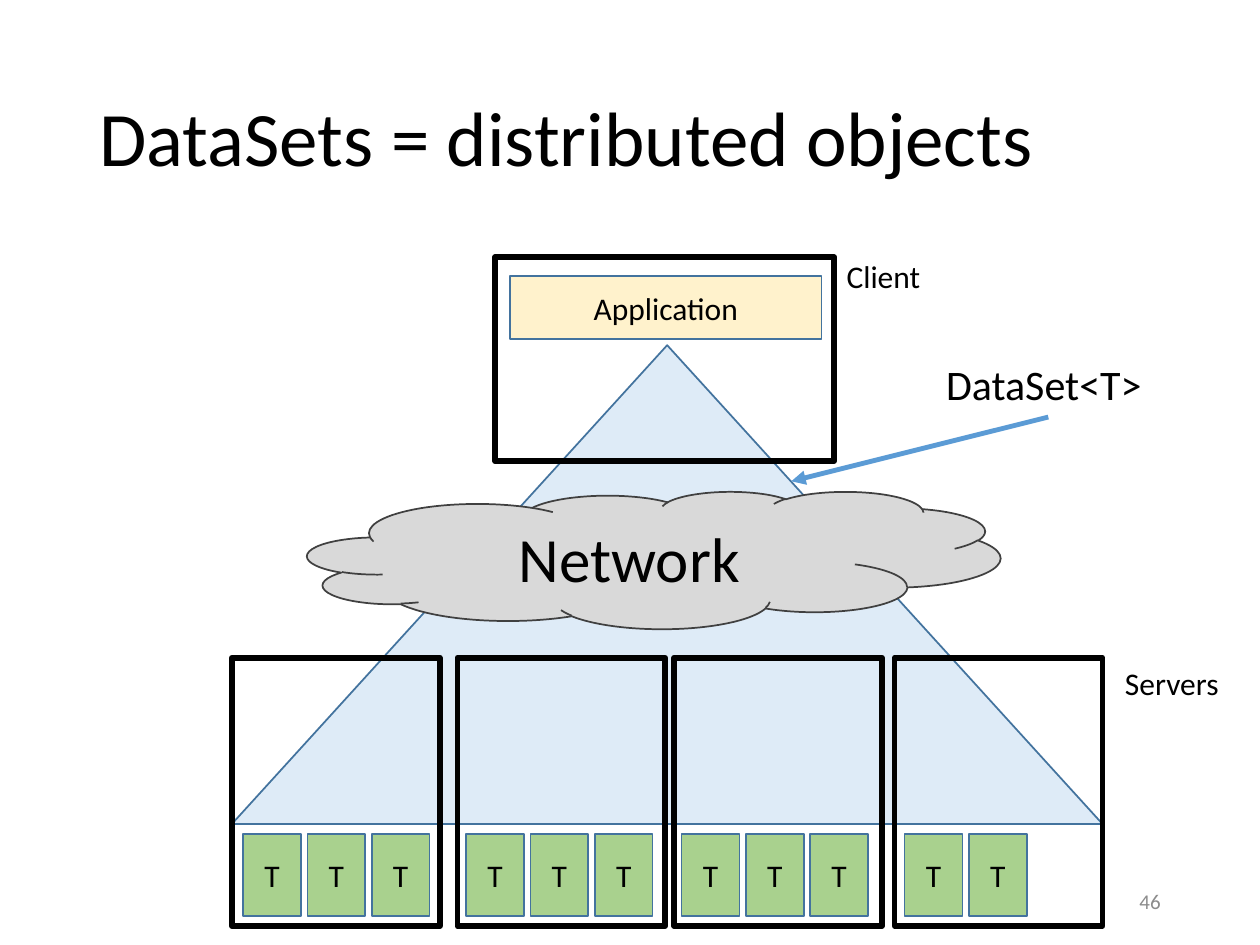
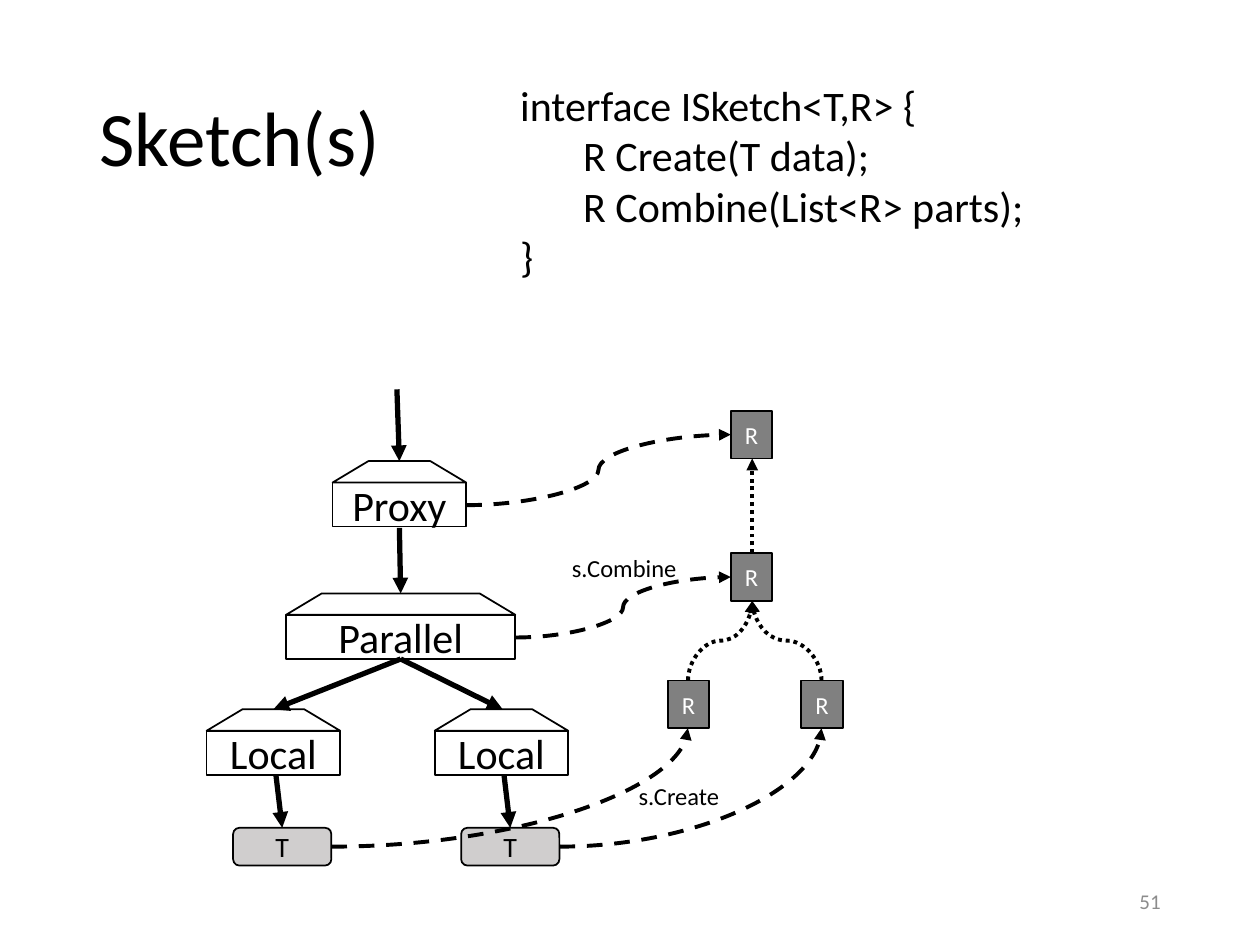
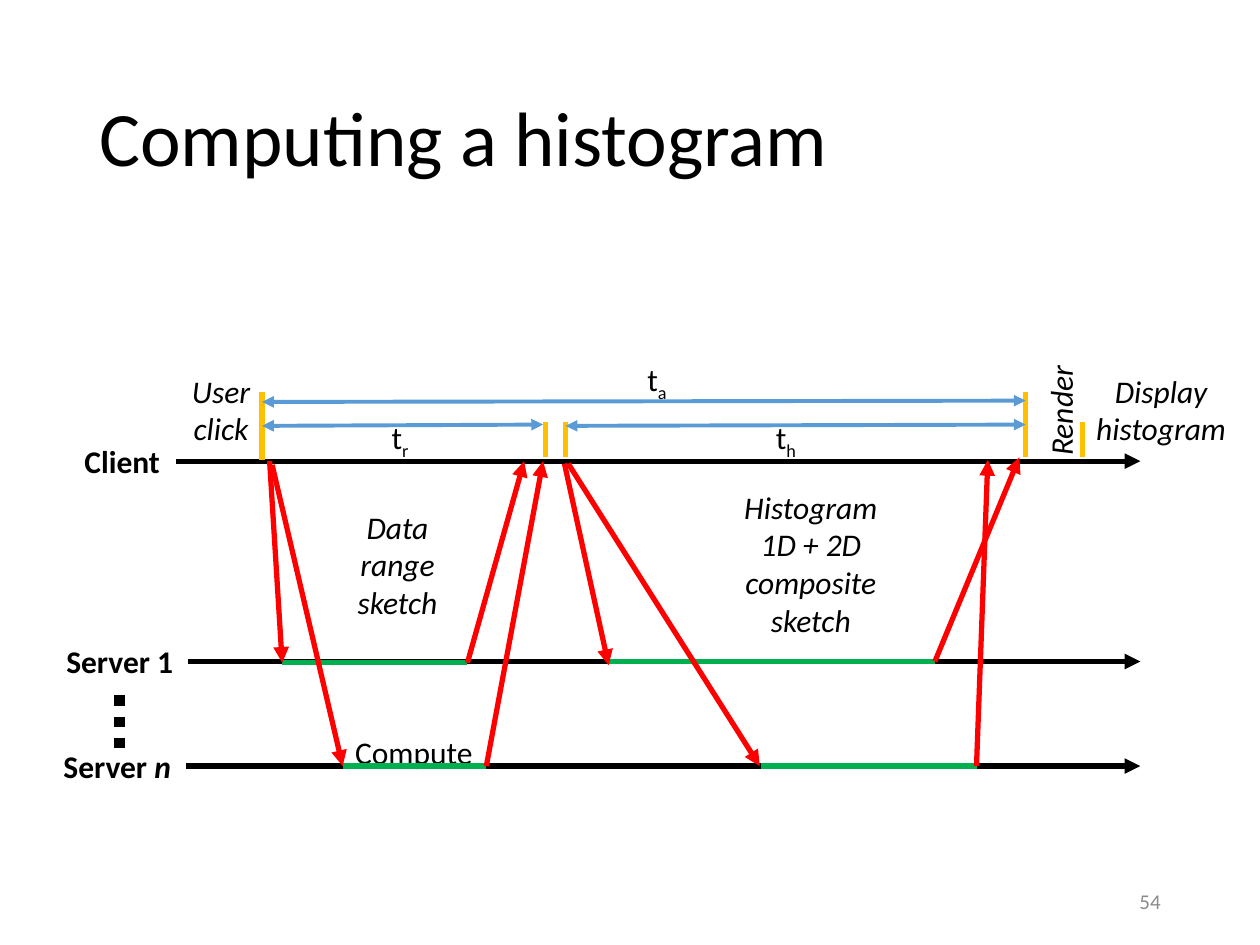
import lxml.etree
import pptx
import pptx.util
import pptx.dml.color
import pptx.enum.dml
import pptx.enum.shapes
import pptx.enum.text
import pptx.oxml.ns

Inches = pptx.util.Inches
Pt = pptx.util.Pt
SHAPE = pptx.enum.shapes.MSO_SHAPE
LINK = pptx.enum.shapes.MSO_CONNECTOR
DASH = pptx.enum.dml.MSO_LINE.DASH
DOT = pptx.enum.dml.MSO_LINE.ROUND_DOT
ALIGN = pptx.enum.text.PP_ALIGN
MIDDLE = pptx.enum.text.MSO_ANCHOR.MIDDLE
FONT = "Calibri"
COLORS = {
    "black": "000000", "white": "FFFFFF", "number": "8C8C8C",
    "edge": "43739E", "arrow": "5B9BD5", "pale": "DEEBF7",
    "cloud": "D9D9D9", "rim": "404040", "cream": "FFF2CC",
    "task": "A9D18E", "result": "808080", "leaf": "D0CECE",
    "tick": "FFC000", "work": "00B050", "message": "FF0000",
}


def color(name):
    return pptx.dml.color.RGBColor.from_string(COLORS[name])


def write(frame, text, size, hue="black", align=ALIGN.LEFT, bold=None, italic=None):
    frame.text = text
    for para in frame.paragraphs:
        para.alignment = align
        font = para.font
        font.name, font.size, font.bold, font.italic = FONT, Pt(size), bold, italic
        font.color.rgb = color(hue)


class Pen:
    def __init__(self, slide, left=0, top=0):
        self.slide, self.left, self.top = slide, left, top

    def move(self, left, top):
        return Pen(self.slide, self.left + left, self.top + top)

    def place(self, left, top):
        return Inches(self.left + left), Inches(self.top + top)

    def text(self, box, text, size=18, wrap=True, anchor=None, **style):
        left, top, width, height = box
        label = self.slide.shapes.add_textbox(
            *self.place(left, top), Inches(width), Inches(height))
        frame = label.text_frame
        frame.word_wrap = wrap
        frame.vertical_anchor = anchor
        write(frame, text, size, **style)
        return label

    def shape(self, kind, box, fill=None, edge="black", weight=1,
              text=None, size=18, hue="black", wrap=True):
        left, top, width, height = box
        shape = self.slide.shapes.add_shape(
            kind, *self.place(left, top), Inches(width), Inches(height))
        shape.shadow.inherit = False
        if fill:
            shape.fill.solid()
            shape.fill.fore_color.rgb = color(fill)
        else:
            shape.fill.background()
        shape.line.color.rgb = color(edge)
        shape.line.width = Pt(weight)
        if text:
            frame = shape.text_frame
            frame.word_wrap = wrap
            frame.vertical_anchor = MIDDLE
            write(frame, text, size, hue, ALIGN.CENTER)
        return shape

    def line(self, start, end, hue="black", weight=3, dash=None,
             ends=("tailEnd",), kind=LINK.STRAIGHT):
        link = self.slide.shapes.add_connector(
            kind, *self.place(*start), *self.place(*end))
        link.line.color.rgb = color(hue)
        link.line.width = Pt(weight)
        if dash:
            link.line.dash_style = dash
        props = link._element.spPr
        stroke = props.find(pptx.oxml.ns.qn("a:ln"))
        for side in ends:
            lxml.etree.SubElement(
                stroke, pptx.oxml.ns.qn("a:" + side), type="triangle")
        lxml.etree.SubElement(props, pptx.oxml.ns.qn("a:effectLst"))
        return link

    def curve(self, start, end):
        return self.line(start, end, weight=2.25, dash=DASH, kind=LINK.CURVE)

    def bend(self, start, end):
        props = self.curve(start, end)._element.spPr
        props.find(pptx.oxml.ns.qn("a:prstGeom")).set("prst", "curvedConnector2")

    def climb(self, start, end):
        (x1, y1), (x2, y2) = start, end
        sign = 1 if x2 > x1 else -1
        half_x, half_y = sign * (y2 - y1) / 2, -sign * (x2 - x1) / 2
        mid_x, mid_y = (x1 + x2) / 2, (y1 + y2) / 2
        link = self.line((mid_x - half_x, mid_y - half_y),
                         (mid_x + half_x, mid_y + half_y),
                         weight=2.25, dash=DOT, kind=LINK.CURVE)
        frame = link._element.spPr.find(pptx.oxml.ns.qn("a:xfrm"))
        frame.set("rot", str((90 if sign > 0 else 270) * 60000))


def begin(deck, title, number):
    pen = Pen(deck.slides.add_slide(deck.slide_layouts[6]))
    head = pen.text((0.69, 0.4, 8.62, 1.45), title, 44, anchor=MIDDLE)
    head.text_frame.paragraphs[0].line_spacing = 0.9
    pen.text((7.06, 6.95, 2.25, 0.4), number, 12, anchor=MIDDLE,
             hue="number", align=ALIGN.RIGHT)
    return pen


def server(pen, inset, count):
    pen.shape(SHAPE.RECTANGLE, (0, 0, 1.65, 2.13), weight=3.25)
    for index in range(count):
        pen.shape(SHAPE.RECTANGLE, (inset + 0.51 * index, 1.4, 0.46, 0.65),
                  "task", "edge", text="T")


def client(pen):
    pen.shape(SHAPE.RECTANGLE, (0, 0, 2.69, 1.62), weight=3.25)
    pen.shape(SHAPE.RECTANGLE, (0.12, 0.15, 2.47, 0.5), "cream", "edge",
              text="Application")
    pen.text((2.69, -0.05, 0.79, 0.4), "Client", wrap=False)


def objects(deck):
    pen = begin(deck, "DataSets = distributed objects", "46")
    pen.shape(SHAPE.ISOSCELES_TRIANGLE, (1.84, 2.74, 6.91, 3.8), "pale", "edge")
    pen.shape(SHAPE.CLOUD, (2.44, 3.9, 5.5, 1.09), "cloud", "rim",
              text="Network", size=36)
    client(pen.move(3.93, 2.04))
    for left, inset, count in ((1.84, 0.09, 3), (3.63, 0.07, 3),
                               (5.35, 0.06, 3), (7.1, 0.08, 2)):
        server(pen.move(left, 5.22), inset, count)
    pen.text((8.83, 5.22, 0.95, 0.4), "Servers", wrap=False)
    pen.text((7.41, 2.8, 1.82, 0.5), "DataSet<T>", 24)
    pen.line((8.32, 3.31), (6.28, 3.82), "arrow", 2.75)


def node(pen, name, width=1.06):
    roof = pen.shape(SHAPE.TRAPEZOID, (0, 0, width, 0.17))
    roof.adjustments[0] = 1.67
    pen.shape(SHAPE.RECTANGLE, (0, 0.17, width, 0.35), text=name, size=24, wrap=False)


def leaf(pen):
    node(pen, "Local")
    pen.shape(SHAPE.ROUNDED_RECTANGLE, (0.21, 0.94, 0.78, 0.3), "leaf",
              text="T", size=16)
    pen.line((0.55, 0.52), (0.6, 0.94))


def tree(pen):
    pen.line((1.51, 0), (1.53, 0.57))
    node(pen.move(1, 0.57), "Proxy")
    pen.line((1.53, 1.1), (1.54, 1.62))
    node(pen.move(0.63, 1.62), "Parallel", 1.82)
    for left, tip in ((0, 0.53), (1.81, 2.35)):
        leaf(pen.move(left, 2.54))
        pen.line((1.54, 2.14), (tip, 2.54))


def results(pen):
    for left, top in ((0.5, 0), (0.5, 1.13), (0, 2.14), (1.06, 2.14)):
        pen.shape(SHAPE.RECTANGLE, (left, top, 0.33, 0.38), "result",
                  text="R", size=14, hue="white")
    pen.line((0.67, 1.13), (0.67, 0.38), weight=2.25, dash=DOT)
    for left in (0.16, 1.22):
        pen.climb((left, 2.14), (0.67, 1.51))


def sketch(deck):
    pen = begin(deck, "Sketch(s)", "51")
    tree(pen.move(1.64, 3.09))
    results(pen.move(5.3, 3.26))
    pen.bend((4.44, 6.72), (6.52, 5.78))
    pen.bend((2.63, 6.72), (5.46, 5.78))
    pen.curve((4.09, 5.06), (5.8, 4.58))
    pen.curve((3.7, 4.01), (5.8, 3.45))
    pen.text((4.44, 4.34, 1.19, 0.34), "s.Combine", 14)
    pen.text((4.97, 6.15, 2.04, 0.49), "s.Create", 14, wrap=False)
    code = "interface ISketch<T,R> {\n\tR Create(T data);\n\tR Combine(List<R> parts);\n}"
    pen.text((4.03, 0.58, 5.08, 1.72), code, 24)


def axes(pen):
    pen.text((0.64, 2.11, 1.15, 0.4), "Compute", wrap=False)
    for start, level in ((-0.68, 0), (-0.59, 1.59), (-0.6, 2.42)):
        pen.line((start, level), (6.97, level))
    for left, top, width, name in ((-1.54, -0.2, 0.86, "Client"),
                                   (-1.69, 1.39, 1.12, "Server 1"),
                                   (-1.71, 2.22, 1.12, "Server ")):
        label = pen.text((left, top, width, 0.4), name, align=ALIGN.CENTER, bold=True)
    run = label.text_frame.paragraphs[0].add_run()
    run.text = "n"
    run.font.italic = True
    pen.line((-1.13, 1.86), (-1.13, 2.29), weight=6, dash=DOT, ends=())


def traffic(pen):
    for start, end, level in ((0.16, 1.63, 1.6), (0.64, 1.78, 2.42),
                              (2.75, 5.34, 1.59), (3.96, 5.67, 2.42)):
        pen.line((start, level), (end, level), "work", ends=())
    for start, end in (((0.06, 0), (0.16, 1.6)), ((0.08, 0.03), (0.64, 2.42)),
                       ((1.63, 1.6), (2.08, 0)), ((1.78, 2.42), (2.23, 0)),
                       ((2.4, 0.02), (2.75, 1.62)), ((2.43, 0.02), (3.95, 2.42)),
                       ((5.34, 1.59), (6.01, -0.03)), ((5.67, 2.42), (5.76, -0.01))):
        pen.line(start, end, "message")


def spans(pen):
    for left, top, base in ((0, -0.55, -0.01), (2.25, -0.31, -0.03),
                            (2.41, -0.31, -0.03), (6.06, -0.55, -0.03),
                            (6.51, -0.31, -0.03)):
        pen.line((left, base), (left, top), "tick", ends=())
    for start, end, level in ((0, 2.23, -0.28), (2.41, 6.06, -0.28), (0, 6.06, -0.47)):
        pen.line((start, level), (end, level - 0.01), "arrow", 2.25,
                 ends=("headEnd", "tailEnd"))
    for left, top, width, sub in ((0.93, -0.39, 0.34, "r"), (3.98, -0.39, 0.37, "h"),
                                  (2.96, -0.85, 0.36, "a")):
        label = pen.text((left, top, width, 0.4), "t", wrap=False)
        run = label.text_frame.paragraphs[0].add_run()
        run.text = sub
        run._r.get_or_add_rPr().set("baseline", "-25000")


def phases(pen):
    for box, text, turn in (
            ((3.66, 0.16, 1.39, 1.31), "Histogram\n1D + 2D\ncomposite\nsketch", 0),
            ((0.47, 0.32, 1.21, 1.01), "Data\nrange\nsketch", 0),
            ((5.73, -0.6, 1.21, 0.4), "Render", 270),
            ((6.51, -0.76, 1.25, 0.71), "Display\nhistogram", 0),
            ((-0.99, -0.76, 1.33, 0.71), "User\nclick", 0)):
        label = pen.text(box, text, align=ALIGN.CENTER, italic=True)
        label.rotation = turn


def timing(deck):
    chart = begin(deck, "Computing a histogram", "54").move(2.08, 3.66)
    for draw in (axes, traffic, spans, phases):
        draw(chart)


def main():
    deck = pptx.Presentation()
    deck.slide_width, deck.slide_height = Inches(10), Inches(7.5)
    for build in (objects, sketch, timing):
        build(deck)
    deck.save("out.pptx")


if __name__ == "__main__":
    main()
